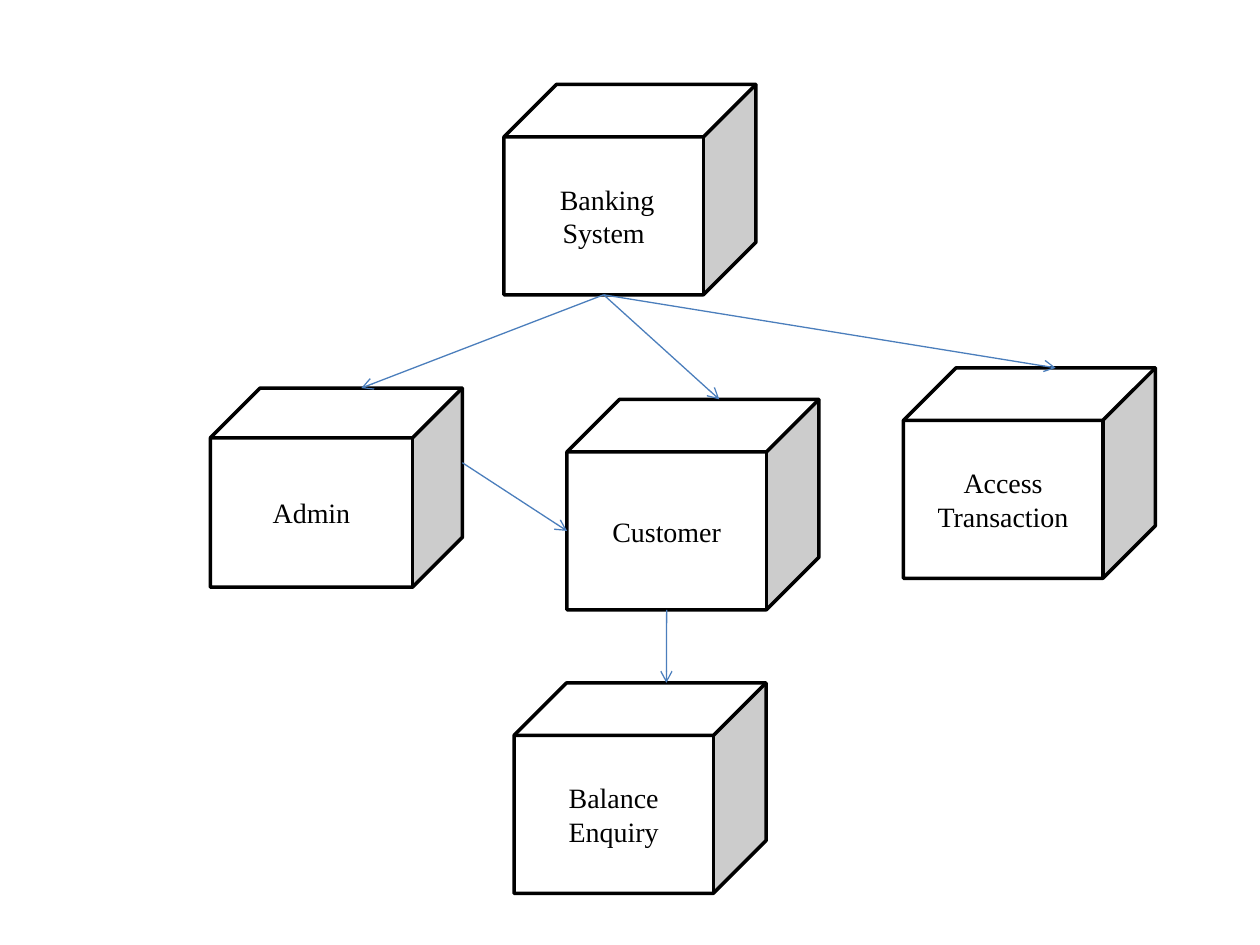
from pptx import Presentation
from pptx.dml.color import RGBColor
from pptx.enum.shapes import MSO_CONNECTOR, MSO_SHAPE
from pptx.enum.text import MSO_ANCHOR, PP_ALIGN
from pptx.oxml.ns import qn
from pptx.util import Inches, Pt
from lxml.etree import SubElement

BLACK = RGBColor(0x00, 0x00, 0x00)
WHITE = RGBColor(0xFF, 0xFF, 0xFF)
BLUE = RGBColor(0x4B, 0x7E, 0xBC)

CUBE_WIDTH = 2
CUBE_DEPTH = 0.25  # share of the cube height

# text, left, top, height
CUBES = {
    "system": (" Banking System", 4, 0.67, 1.67),
    "admin": ("Admin", 1.67, 3.08, 1.58),
    "customer": ("Customer", 4.5, 3.17, 1.67),
    "access": ("Access Transaction", 7.17, 2.92, 1.67),
    "balance": ("Balance Enquiry", 4.08, 5.42, 1.67),
}

# from cube and side, to cube and side
ARROWS = [
    ("system", "bottom", "admin", "top"),
    ("system", "bottom", "customer", "top"),
    ("system", "bottom", "access", "top"),
    ("customer", "bottom", "balance", "top"),
    ("admin", "right", "customer", "left"),
]


def add_cube(slide, text, left, top, height):
    shape = slide.shapes.add_shape(
        MSO_SHAPE.CUBE, Inches(left), Inches(top), Inches(CUBE_WIDTH), Inches(height))
    shape.adjustments[0] = CUBE_DEPTH
    shape.shadow.inherit = False
    shape.fill.solid()
    shape.fill.fore_color.rgb = WHITE
    shape.line.color.rgb = BLACK
    shape.line.width = Pt(2)

    frame = shape.text_frame
    frame.word_wrap = True
    frame.vertical_anchor = MSO_ANCHOR.MIDDLE
    paragraph = frame.paragraphs[0]
    paragraph.text = text
    paragraph.alignment = PP_ALIGN.CENTER
    paragraph.font.name = "Times New Roman"
    paragraph.font.size = Pt(16)
    paragraph.font.color.rgb = BLACK
    return shape


def side_point(cube, side):
    """Return the middle of one visible side of a cube."""
    depth = cube.height * CUBE_DEPTH
    x, y = {
        "top": ((cube.width + depth) / 2, 0),
        "bottom": ((cube.width - depth) / 2, cube.height),
        "left": (0, (cube.height + depth) / 2),
        "right": (cube.width, (cube.height - depth) / 2),
    }[side]
    return int(cube.left + x), int(cube.top + y)


def add_arrow(slide, start, end):
    connector = slide.shapes.add_connector(MSO_CONNECTOR.STRAIGHT, *start, *end)
    connector.line.color.rgb = BLUE
    connector.line.width = Pt(0.75)
    SubElement(connector.line._get_or_add_ln(), qn("a:tailEnd"), type="arrow")
    SubElement(connector._element.spPr, qn("a:effectLst"))


def main():
    presentation = Presentation()
    presentation.slide_width = Inches(10)
    presentation.slide_height = Inches(7.5)
    slide = presentation.slides.add_slide(presentation.slide_layouts[6])

    # Modules of the system
    cubes = {name: add_cube(slide, *values) for name, values in CUBES.items()}

    # Links between the modules
    for source, source_side, target, target_side in ARROWS:
        add_arrow(slide, side_point(cubes[source], source_side),
                  side_point(cubes[target], target_side))

    presentation.save("out.pptx")


main()
